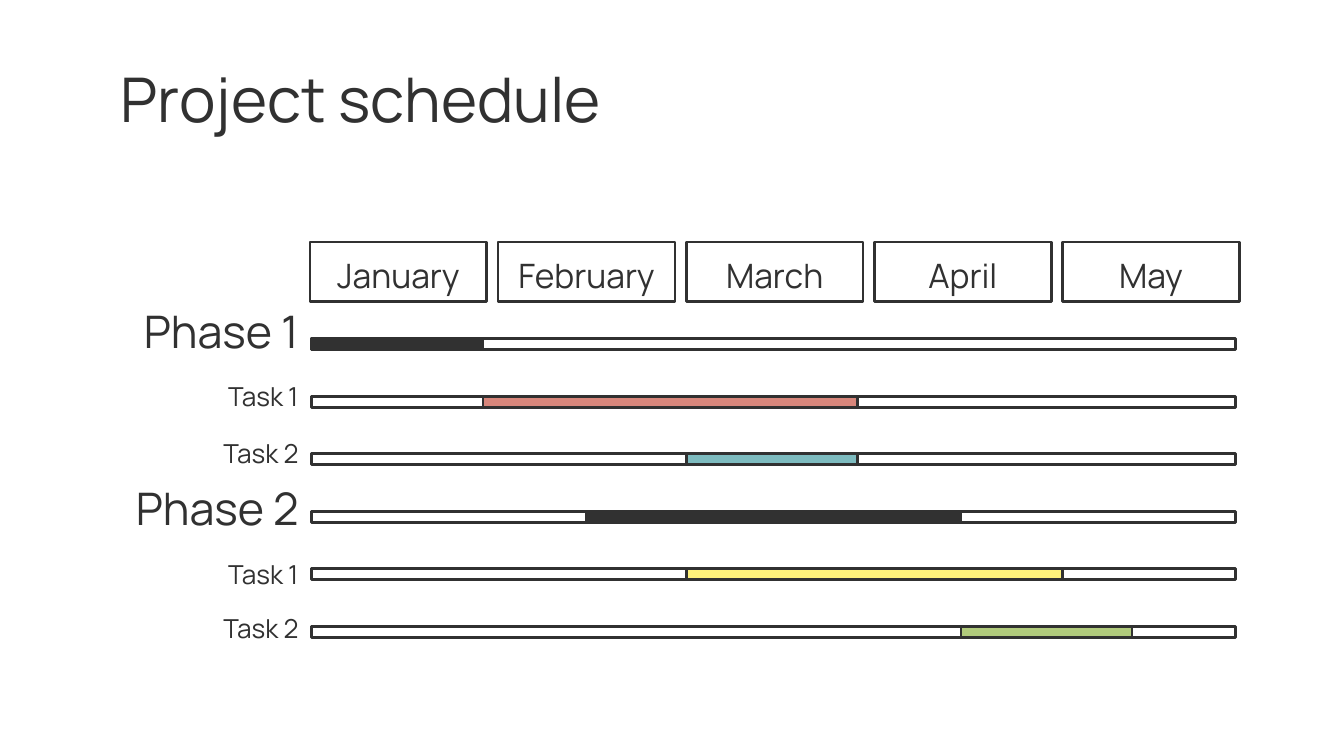
"""Build a project schedule slide with month headers and task bars."""
from dataclasses import dataclass

from pptx import Presentation
from pptx import util as u
from pptx.dml.color import RGBColor
from pptx.enum import shapes, text


@dataclass(frozen=True)
class Theme:
    font: str = "Manrope"
    ink: str = "313131"
    paper: str = "FFFFFF"
    red: str = "D8867B"
    teal: str = "7DBBBF"
    yellow: str = "FFF27B"
    green: str = "B1CB7C"
    title: int = 33
    phase: int = 24
    month: int = 18
    task: int = 14
    line: float = 1.5
    inset: float = 0.1


THEME = Theme()
WIDTH = 10
HEIGHT = WIDTH * 9 / 16
LEFT, TOP = 2.32, 2.52
COLUMN, ROW = 1.4, 2.14 / 5
BAR_COLUMNS, BAR_ROWS = 4.91, 0.19
LABEL_COLUMNS = 1.09

MONTHS = ["January", "February", "March", "April", "May"]
SCHEDULE = [
    ("Phase 1", -0.65, 0, 0.91, THEME.ink),
    ("Task 1", -0.53, 0.91, 1.99, THEME.red),
    ("Task 2", -0.53, 1.99, 0.91, THEME.teal),
    ("Phase 2", -0.57, 1.46, 1.99, THEME.ink),
    ("Task 1", -0.43, 1.99, 2, THEME.yellow),
    ("Task 2", -0.49, 3.45, 0.91, THEME.green),
]


def write(box, words, size, align=text.PP_ALIGN.LEFT, spacing=1.0):
    """Put one formatted paragraph, centred vertically, into a box."""
    frame = box.text_frame
    frame.word_wrap = True
    frame.vertical_anchor = text.MSO_ANCHOR.MIDDLE
    for side in ("left", "top", "right", "bottom"):
        setattr(frame, f"margin_{side}", u.Inches(THEME.inset))
    para = frame.paragraphs[0]
    para.alignment = align
    para.line_spacing = spacing
    span = para.add_run()
    span.text = words
    span.font.name = THEME.font
    span.font.size = u.Pt(size)
    span.font.color.rgb = RGBColor.from_string(THEME.ink)


def grid(column, row, columns, rows):
    """Turn grid columns and rows into slide lengths."""
    return [u.Inches(length) for length in (
        LEFT + column * COLUMN, TOP + row * ROW, columns * COLUMN, rows * ROW)]


class Schedule:
    """Draw schedule elements on one slide in a shared style."""

    def __init__(self, page, theme):
        """Keep the slide and its theme."""
        self.page = page
        self.theme = theme
        page.background.fill.solid()
        page.background.fill.fore_color.rgb = RGBColor.from_string(theme.paper)

    def title(self, words):
        """Add the heading at shares of the slide size."""
        box = self.page.shapes.add_textbox(
            u.Inches(0.08 * WIDTH), u.Inches(0.07 * HEIGHT),
            u.Inches(0.69 * WIDTH), u.Inches(0.12 * HEIGHT))
        write(box, words, self.theme.title)

    def bar(self, column, row, columns, rows=BAR_ROWS, fill=None):
        """Add an outlined rectangle, filled if a colour is given."""
        box = self.page.shapes.add_shape(
            shapes.MSO_SHAPE.RECTANGLE, *grid(column, row, columns, rows))
        box.shadow.inherit = False
        box.line.color.rgb = RGBColor.from_string(self.theme.ink)
        box.line.width = u.Pt(self.theme.line)
        if fill:
            box.fill.solid()
            box.fill.fore_color.rgb = RGBColor.from_string(fill)
        else:
            box.fill.background()
        return box

    def month(self, index, words):
        """Add one month header above the bars."""
        box = self.bar(index - 0.01, -1.68, 0.94, 1.03)
        write(box, words, self.theme.month, text.PP_ALIGN.CENTER, 1.15)

    def label(self, row, words):
        """Add a right-aligned phase or task name."""
        phase = words.startswith("Phase")
        size = self.theme.phase if phase else self.theme.task
        rows = 1.03 if phase else 0.96
        box = self.page.shapes.add_textbox(
            *grid(-LABEL_COLUMNS, row, LABEL_COLUMNS, rows))
        write(box, words, size, text.PP_ALIGN.RIGHT, 1.0 if phase else 1.15)


def main():
    """Build and save the deck."""
    deck = Presentation()
    deck.slide_width, deck.slide_height = u.Inches(WIDTH), u.Inches(HEIGHT)
    schedule = Schedule(deck.slides.add_slide(deck.slide_layouts[6]), THEME)
    schedule.title("Project schedule")
    for index, name in enumerate(MONTHS):
        schedule.month(index, name)
    for row, (name, offset, start, length, colour) in enumerate(SCHEDULE):
        schedule.label(row + offset, name)
        schedule.bar(0, row, BAR_COLUMNS)
        schedule.bar(start, row, length, fill=colour)
    deck.save("out.pptx")


if __name__ == "__main__":
    main()
